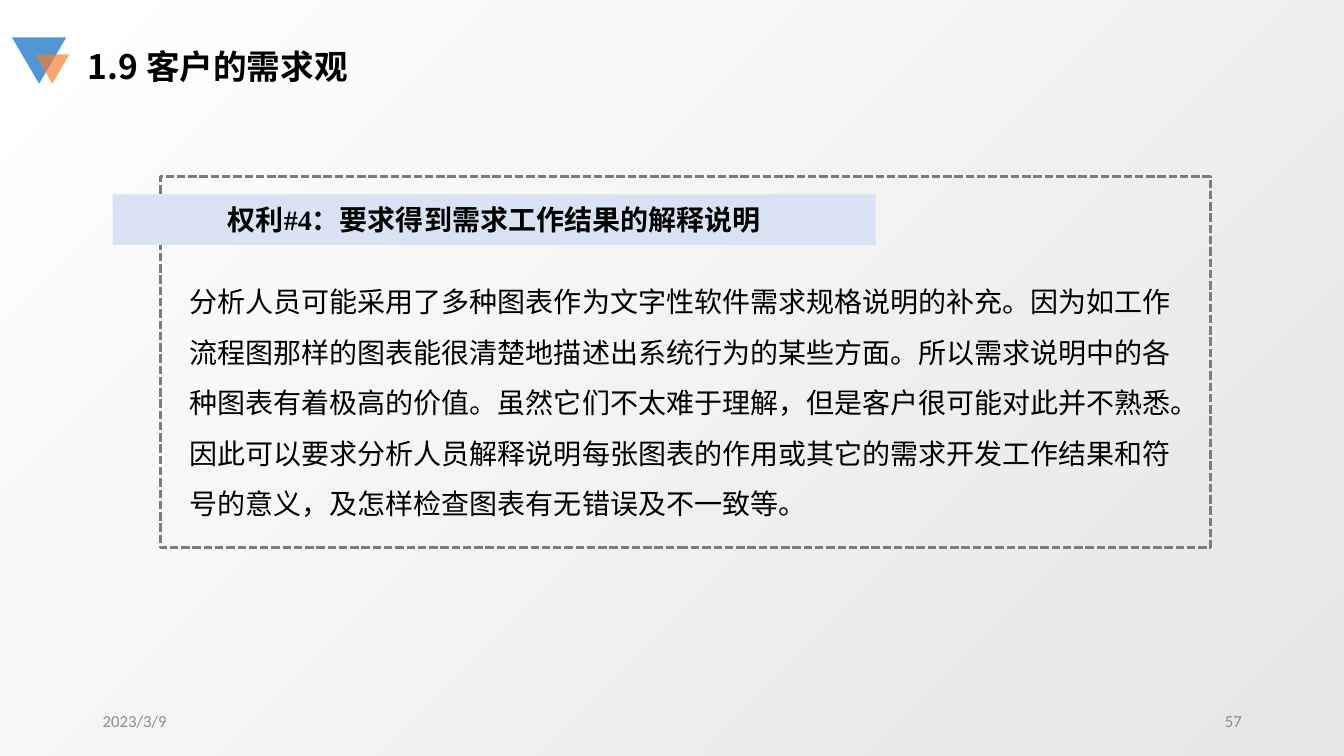
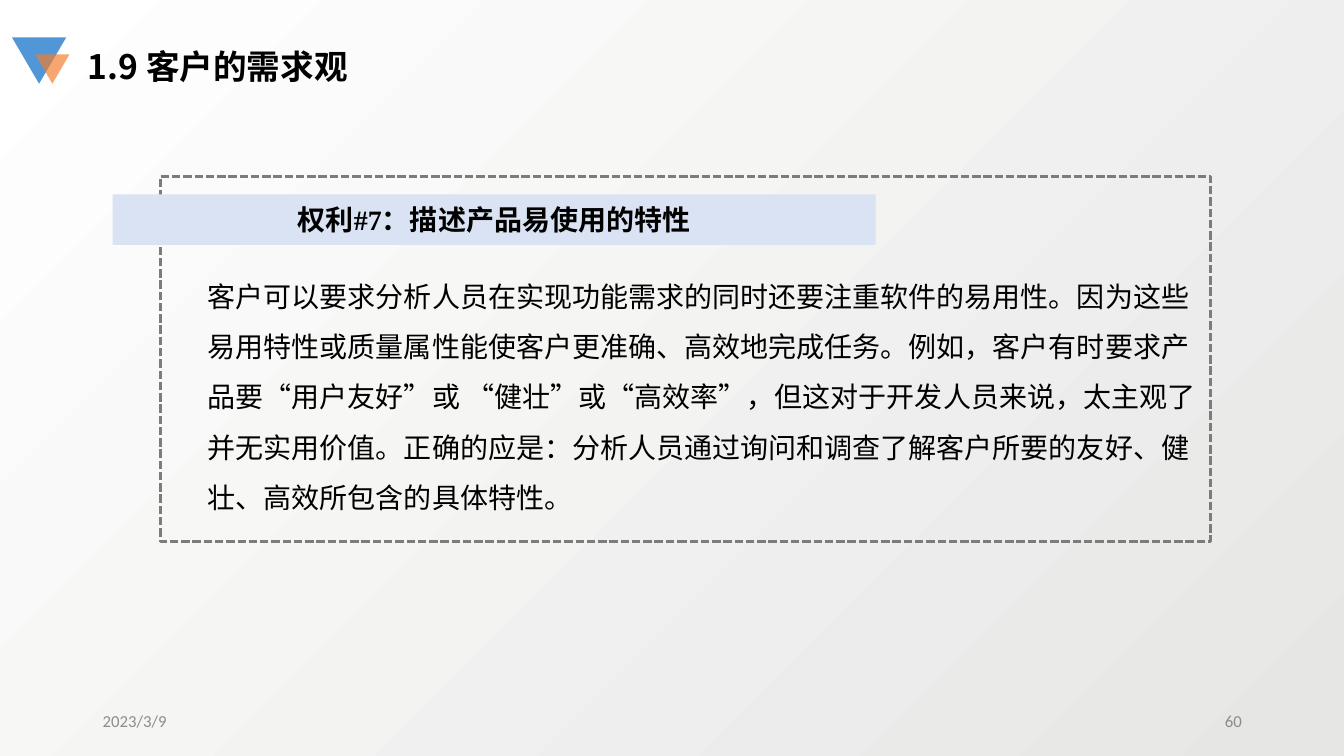
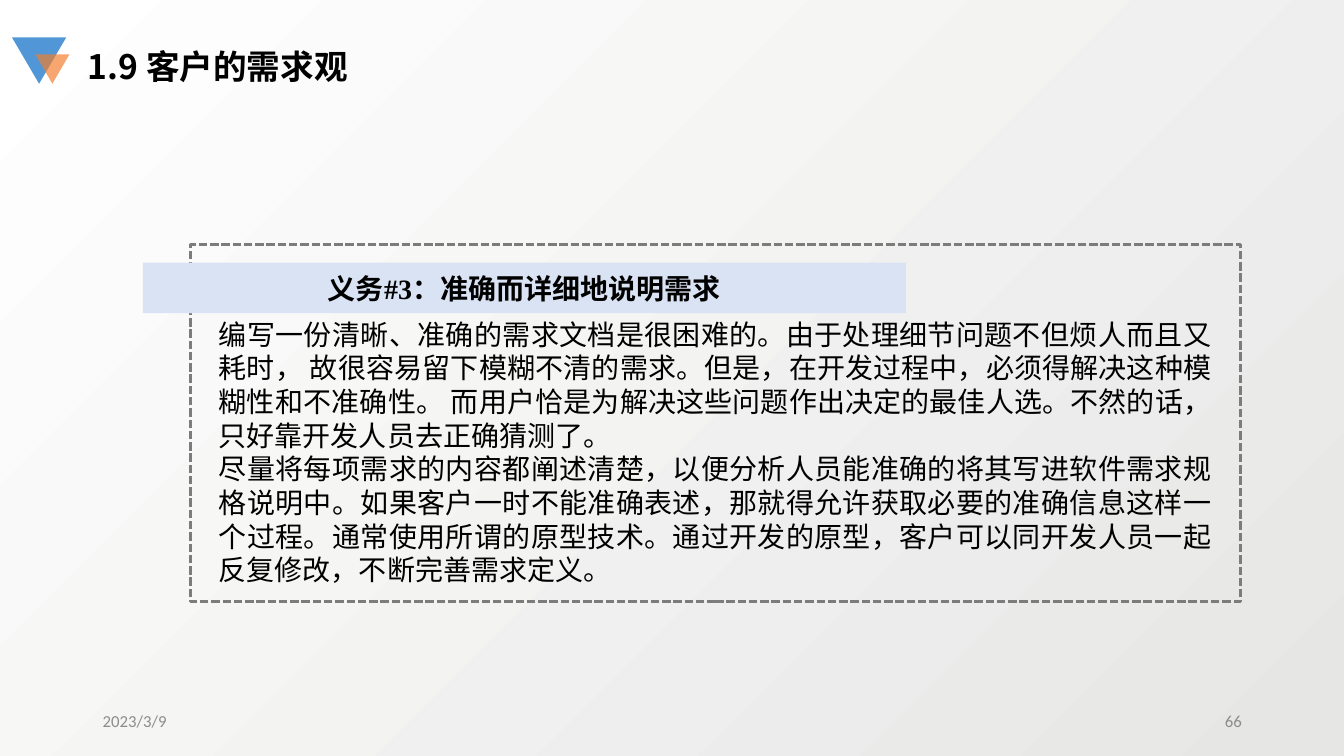
from lxml.etree import SubElement
from pptx import Presentation
from pptx.dml.color import RGBColor
from pptx.enum.dml import MSO_LINE
from pptx.enum.lang import MSO_LANGUAGE_ID as LANG
from pptx.enum.shapes import MSO_SHAPE as SHAPE
from pptx.enum.text import MSO_ANCHOR as ANCHOR, MSO_AUTO_SIZE as FIT, PP_ALIGN as ALIGN
from pptx.oxml.ns import qn
from pptx.util import Cm, Pt

# Shared colours and fonts
BLACK = RGBColor(0x00, 0x00, 0x00)
WHITE = RGBColor(0xFF, 0xFF, 0xFF)
SHADE = RGBColor(0xE6, 0xE6, 0xE5)
GREY = RGBColor(0x8C, 0x8C, 0x8C)
DASH_GREY = RGBColor(0x7C, 0x7C, 0x7C)
BLUE = RGBColor(0x51, 0x97, 0xD7)
ORANGE = RGBColor(0xF3, 0x7D, 0x2A)
PALE_BLUE = RGBColor(0xDA, 0xE3, 0xF3)
SANS, LATIN, SERIF = "Noto Sans CJK SC", "Calibri", "Times New Roman"

# Text styles
TITLE = {"name": SANS, "size": Pt(24), "bold": True}
BANNER = {"name": SERIF, "size": Pt(20), "bold": True}
BODY = {"name": LATIN, "size": Pt(20), "bold": False}
BODY_SANS = {**BODY, "name": SANS}
FOOTER = {"name": LATIN, "size": Pt(12), "bold": False}

# Paragraph formats
LOOSE = {"alignment": ALIGN.LEFT, "line_spacing": 1.5}
JUSTIFIED = {"alignment": ALIGN.JUSTIFY, "line_spacing": 1.0}

HEADING = "1.9 客户的需求观"
DATE = "2023/3/9"


class SlideBuilder:
    """Holds the deck style and the slide being built."""

    def __init__(self):
        self.deck = Presentation()
        self.deck.slide_width, self.deck.slide_height = Cm(33.87), Cm(19.05)
        self.page = None
        fill = self.deck.slide_master.background.fill
        fill.gradient()
        fill.gradient_angle = 135
        for stop, color, position in zip(fill.gradient_stops, (SHADE, WHITE), (0, 1)):
            stop.color.rgb = color
            stop.position = position

    def new_page(self, number):
        self.page = self.deck.slides.add_slide(self.deck.slide_layouts[1])
        self.triangle(0.3, 0.94, 1.37, 1.17, BLUE)
        self.triangle(0.89, 1.37, 0.86, 0.74, ORANGE, 68)
        self.title(HEADING)
        self.footer(2.34, DATE, ALIGN.LEFT)
        self.footer(23.93, str(number), ALIGN.RIGHT)

    def place(self, box, left, top, width, height):
        box.left, box.top, box.width, box.height = map(Cm, (left, top, width, height))

    def fill_text(self, box, texts, style, layout, color=BLACK, anchor=ANCHOR.TOP):
        frame = box.text_frame
        frame.word_wrap = True
        frame.auto_size = FIT.NONE
        frame.vertical_anchor = anchor
        for index, text in enumerate(texts):
            para = frame.add_paragraph() if index else frame.paragraphs[0]
            properties = para._p.get_or_add_pPr()
            properties.set("marL", "0")
            properties.set("indent", "0")
            SubElement(properties, qn("a:buNone"))
            for key, value in {"space_before": Pt(0), **layout}.items():
                setattr(para, key, value)
            span = para.add_run()
            span.text = text
            for key, value in {**style, "language_id": LANG.SIMPLIFIED_CHINESE}.items():
                setattr(span.font, key, value)
            span.font.color.rgb = color
            # East Asian typeface
            SubElement(span._r.get_or_add_rPr(), qn("a:ea")).set("typeface", SANS)

    def shape(self, kind, left, top, width, height, fill=None):
        shape = self.page.shapes.add_shape(kind, *map(Cm, (left, top, width, height)))
        shape.shadow.inherit = False
        shape.line.fill.background()
        if fill is None:
            shape.fill.background()
        else:
            shape.fill.solid()
            shape.fill.fore_color.rgb = fill
        return shape

    def triangle(self, left, top, width, height, color, opacity=100):
        shape = self.shape(SHAPE.ISOSCELES_TRIANGLE, left, top, width, height, color)
        shape.rotation = 180
        if opacity < 100:
            rgb = shape._element.spPr.find(f".//{qn('a:srgbClr')}")
            SubElement(rgb, qn("a:alpha")).set("val", str(opacity * 1000))

    def title(self, text):
        box = self.page.shapes.title
        self.place(box, 1.96, 1.02, 14, 1.27)
        self.fill_text(box, [text], TITLE, {"alignment": ALIGN.LEFT})

    def footer(self, left, text, alignment):
        box = self.page.shapes.add_textbox(*map(Cm, (left, 17.65, 7.62, 1.02)))
        self.fill_text(box, [text], FOOTER, {"alignment": alignment}, GREY, ANCHOR.MIDDLE)

    def frame(self, left, top, height):
        line = self.shape(SHAPE.RECTANGLE, left, top, 26.47, height).line
        line.color.rgb = DASH_GREY
        line.width = Pt(2)
        line.dash_style = MSO_LINE.SQUARE_DOT

    def banner(self, left, top, text):
        box = self.shape(SHAPE.RECTANGLE, left, top, 19.23, 1.27, PALE_BLUE)
        self.fill_text(box, [text], BANNER, {"alignment": ALIGN.CENTER}, anchor=ANCHOR.MIDDLE)

    def body(self, left, top, height, texts, style, layout):
        box = self.page.placeholders[1]
        self.place(box, left, top, 25.53, height)
        self.fill_text(box, texts, style, layout)

    def card(self, frame, heading, body, texts, style, layout):
        """Dashed frame with an overhanging banner and body text."""
        left, top, _ = frame
        self.frame(*frame)
        self.banner(left - 1.2, top + 0.45, heading)
        self.body(*body, texts, style, layout)


# Slide content: frame is left, top, height; body is left, top, height
CARDS = [
    {
        "number": 57,
        "frame": (4.04, 4.45, 9.35),
        "heading": "权利#4：要求得到需求工作结果的解释说明",
        "body": (4.52, 6.63, 6.6),
        "texts": [
            "分析人员可能采用了多种图表作为文字性软件需求规格说明的补充。"
            "因为如工作流程图那样的图表能很清楚地描述出系统行为的某些方面。"
            "所以需求说明中的各种图表有着极高的价值。"
            "虽然它们不太难于理解，但是客户很可能对此并不熟悉。"
            "因此可以要求分析人员解释说明每张图表的作用或其它的需求开发工作结果和符号的意义，"
            "及怎样检查图表有无错误及不一致等。",
        ],
        "style": BODY,
        "layout": LOOSE,
    },
    {
        "number": 60,
        "frame": (4.04, 4.45, 9.19),
        "heading": "权利#7：描述产品易使用的特性",
        "body": (4.98, 6.48, 6.5),
        "texts": [
            "客户可以要求分析人员在实现功能需求的同时还要注重软件的易用性。"
            "因为这些易用特性或质量属性能使客户更准确、高效地完成任务。"
            "例如，客户有时要求产品要“用户友好”或 “健壮”或“高效率”，"
            "但这对于开发人员来说，太主观了并无实用价值。"
            "正确的应是：分析人员通过询问和调查了解客户所要的友好、健壮、高效所包含的具体特性。",
        ],
        "style": BODY,
        "layout": LOOSE,
    },
    {
        "number": 66,
        "frame": (4.8, 6.17, 8.99),
        "heading": "义务#3：准确而详细地说明需求",
        "body": (5.26, 7.87, 7.26),
        "texts": [
            "编写一份清晰、准确的需求文档是很困难的。"
            "由于处理细节问题不但烦人而且又耗时， 故很容易留下模糊不清的需求。"
            "但是，在开发过程中，必须得解决这种模糊性和不准确性。 "
            "而用户恰是为解决这些问题作出决定的最佳人选。"
            "不然的话，只好靠开发人员去正确猜测了。",
            "尽量将每项需求的内容都阐述清楚，以便分析人员能准确的将其写进软件需求规格说明中。"
            "如果客户一时不能准确表述，那就得允许获取必要的准确信息这样一个过程。"
            "通常使用所谓的原型技术。"
            "通过开发的原型，客户可以同开发人员一起反复修改，不断完善需求定义。",
        ],
        "style": BODY_SANS,
        "layout": JUSTIFIED,
    },
]


def main():
    builder = SlideBuilder()
    for card in CARDS:
        content = dict(card)
        builder.new_page(content.pop("number"))
        builder.card(**content)
    builder.deck.save("out.pptx")


if __name__ == "__main__":
    main()
